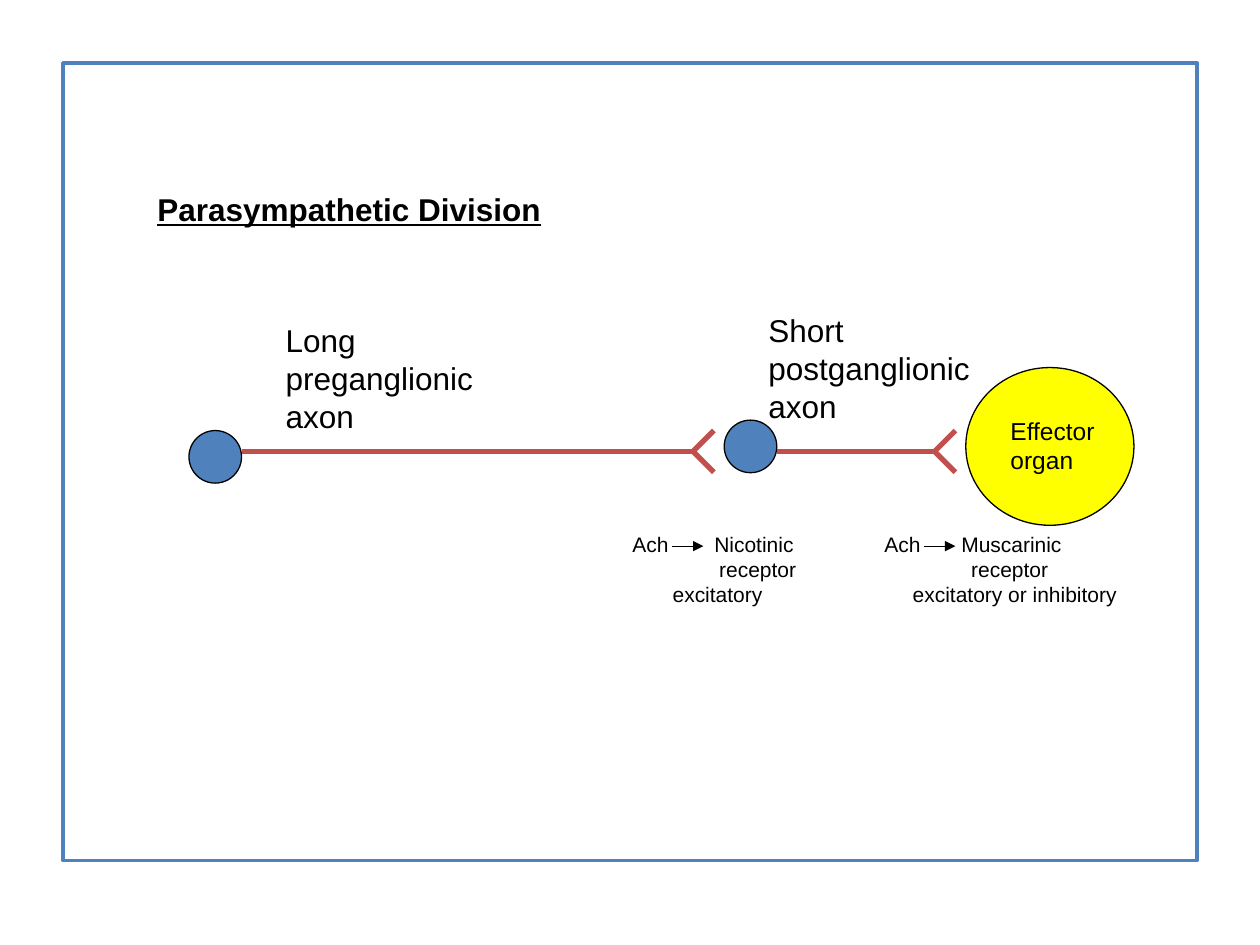
from lxml import etree
from pptx import Presentation
from pptx.dml.color import RGBColor
from pptx.enum.shapes import MSO_CONNECTOR, MSO_SHAPE
from pptx.enum.text import MSO_ANCHOR, MSO_AUTO_SIZE, PP_ALIGN
from pptx.oxml.ns import qn
from pptx.util import Cm, Pt

STRAIGHT = MSO_CONNECTOR.STRAIGHT
RECTANGLE, OVAL = MSO_SHAPE.RECTANGLE, MSO_SHAPE.OVAL
LEFT, TOP, NO_FIT = PP_ALIGN.LEFT, MSO_ANCHOR.TOP, MSO_AUTO_SIZE.NONE
COLORS = {"blue": "4F81BD", "red": "C0504D", "yellow": "FFFF00",
          "black": "000000", "white": "FFFFFF"}

deck = Presentation()
deck.slide_width, deck.slide_height = Cm(25.4), Cm(19.05)
page = deck.slides.add_slide(deck.slide_layouts[5])


def add_line(x1, y1, x2, y2, color, width):
    line = page.shapes.add_connector(STRAIGHT, Cm(x1), Cm(y1), Cm(x2), Cm(y2))
    line.line.color.rgb = RGBColor.from_string(COLORS[color])
    line.line.width = Pt(width)
    etree.SubElement(line._element.spPr, qn("a:effectLst"))
    return line


def format_text(box, size, bold=False):
    frame = box.text_frame
    frame.word_wrap = True
    frame.auto_size = NO_FIT
    frame.vertical_anchor = TOP
    for paragraph in frame.paragraphs:
        paragraph.alignment = LEFT
        for span in paragraph.runs:
            span.font.name = "Arial"
            span.font.size = Pt(size)
            span.font.bold = span.font.underline = bold
            span.font.color.rgb = RGBColor.from_string(COLORS["black"])


# Frame, cell bodies and effector organ
shapes = [
    (RECTANGLE, 1.27, 1.27, 22.86, 16.08, "white", "blue", 2),
    (OVAL, 3.81, 8.68, 1.06, 1.06, "blue", "black", 0.75),
    (OVAL, 14.6, 8.47, 1.06, 1.06, "blue", "black", 0.75),
    (OVAL, 19.47, 7.41, 3.39, 3.18, "yellow", "black", 0.75),
]
for kind, x, y, width, height, fill, outline, weight in shapes:
    shape = page.shapes.add_shape(kind, Cm(x), Cm(y), Cm(width), Cm(height))
    shape.shadow.inherit = False
    shape.fill.solid()
    shape.fill.fore_color.rgb = RGBColor.from_string(COLORS[fill])
    shape.line.color.rgb = RGBColor.from_string(COLORS[outline])
    shape.line.width = Pt(weight)

# Axons with forked endings
axon_y, prong = 9.1, 0.42
for start, fork in [(4.88, 13.97), (15.66, 18.84)]:
    add_line(start, axon_y, fork, axon_y, "red", 3)
    for rise in (-prong, prong):
        add_line(fork, axon_y, fork + prong, axon_y + rise, "red", 3)

# Title, brought in front of the frame
title = page.shapes.title
title.left, title.top, title.width, title.height = Cm(2.92), Cm(3.71), Cm(9), Cm(1.02)
title.text_frame.text = "Parasympathetic Division"
format_text(title, 18, bold=True)
page.shapes._spTree.append(title._element)

# Labels
labels = [
    ("Long preganglionic axon", 5.51, 6.35, 5.28, 2.54, 18),
    ("Short postganglionic axon", 15.24, 6.15, 5.08, 2.54, 18),
    ("Effector organ", 20.12, 8.26, 2.74, 1.45, 14),
]
for text, x, y, width, height, size in labels:
    box = page.shapes.add_textbox(Cm(x), Cm(y), Cm(width), Cm(height))
    box.text_frame.text = text
    format_text(box, size)

# Transmitter and receptor notes: left edge, tab stop, last indent, words
notes = [
    (12.5, 1.65, 0.81, "Nicotinic", "excitatory"),
    (17.58, 1.55, 0.57, "Muscarinic", "excitatory or inhibitory"),
]
for x, tab, indent, receptor, effect in notes:
    box = page.shapes.add_textbox(Cm(x), Cm(10.59), Cm(5.6), Cm(1.78))
    box.text_frame.text = f"Ach\t{receptor}\nreceptor\n{effect}"
    first, second, third = box.text_frame.paragraphs
    tabs = etree.SubElement(first._p.get_or_add_pPr(), qn("a:tabLst"))
    etree.SubElement(tabs, qn("a:tab"), pos=str(Cm(tab)), algn="l")
    for paragraph, margin in [(second, 1.75), (third, indent)]:
        properties = paragraph._p.get_or_add_pPr()
        properties.set("marL", str(Cm(margin)))
        properties.set("indent", "0")
    format_text(box, 12)
    arrow = add_line(x + 1.04, 11.01, x + 1.68, 11.01, "black", 0.75)
    etree.SubElement(arrow.line._get_or_add_ln(), qn("a:tailEnd"), type="triangle")

deck.save("out.pptx")
